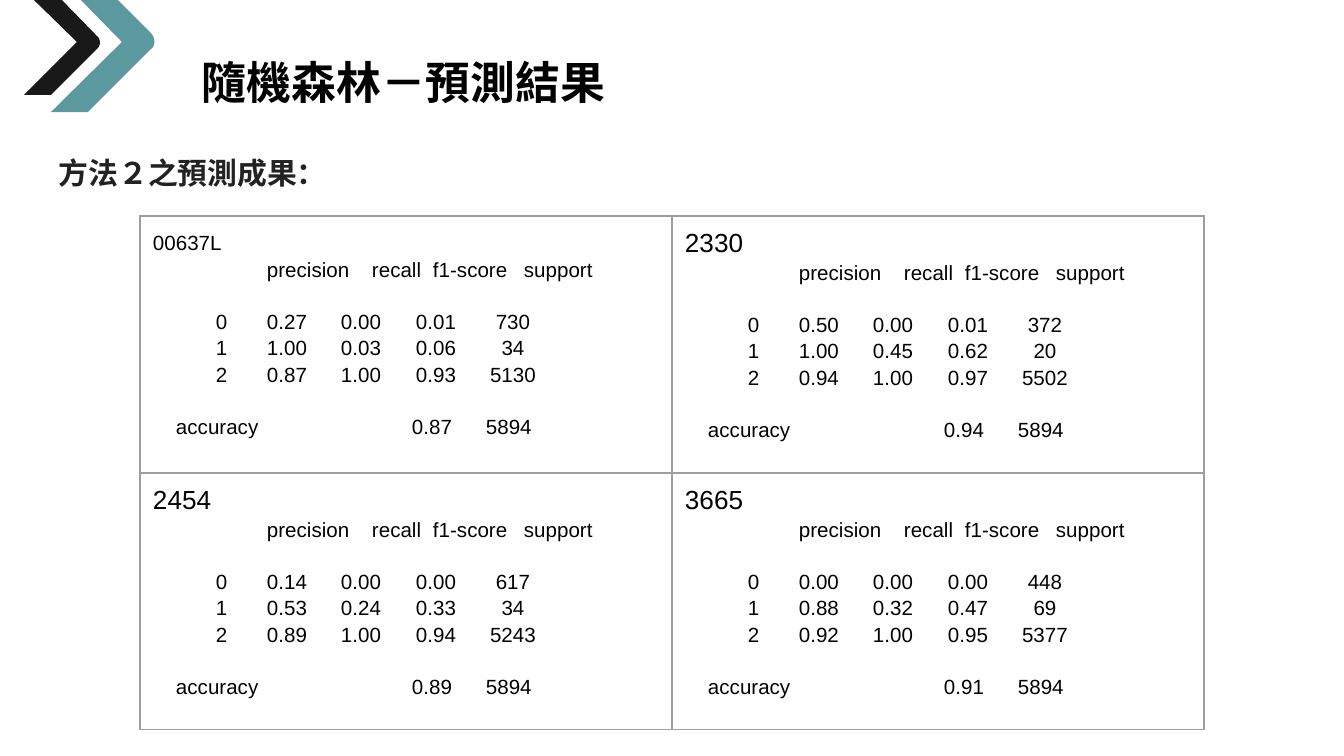
from dataclasses import dataclass

from lxml import etree
from pptx import Presentation
from pptx.dml.color import RGBColor
from pptx.enum.text import MSO_AUTO_SIZE
from pptx.oxml.ns import qn
from pptx.util import Pt

SCALE = 914400 / 134.4
PAGE_WIDTH, PAGE_HEIGHT = 1344, 756
GROW = MSO_AUTO_SIZE.SHAPE_TO_FIT_TEXT
FIXED = MSO_AUTO_SIZE.NONE
BORDER_SIDES = ("a:lnL", "a:lnR", "a:lnT", "a:lnB")


@dataclass(frozen=True)
class Theme:
    black: str = "000000"
    ink: str = "222222"
    teal: str = "4B8E95"
    border: str = "9E9E9E"
    heading_font: str = "Quicksand"
    table_font: str = "Arial"
    title_size: int = 24
    subtitle_size: int = 16
    stock_size: int = 14
    report_size: int = 11
    border_width: float = 0.75
    spacing: float = 1.15
    opacity: int = 90


HEADER_TABS = [(114, "l"), (219, "l"), (280, "l"), (371, "l")]
CLASS_TABS = [(63, "l"), (114, "l"), (188, "l"), (263, "l"), (360, "ctr")]
ACCURACY_TABS = [(23, "l"), (259, "l"), (333, "l")]
HEADER = ["precision", "recall", "f1-score", "support"]

REPORTS = [
    [
        ("00637L", Theme.report_size, Theme.spacing, [
            ["0", "0.27", "0.00", "0.01", "730"],
            ["1", "1.00", "0.03", "0.06", "34"],
            ["2", "0.87", "1.00", "0.93", "5130"],
        ], "0.87"),
        ("2330", Theme.stock_size, 1.0, [
            ["0", "0.50", "0.00", "0.01", "372"],
            ["1", "1.00", "0.45", "0.62", "20"],
            ["2", "0.94", "1.00", "0.97", "5502"],
        ], "0.94"),
    ],
    [
        ("2454", Theme.stock_size, 1.0, [
            ["0", "0.14", "0.00", "0.00", "617"],
            ["1", "0.53", "0.24", "0.33", "34"],
            ["2", "0.89", "1.00", "0.94", "5243"],
        ], "0.89"),
        ("3665", Theme.stock_size, 1.0, [
            ["0", "0.00", "0.00", "0.00", "448"],
            ["1", "0.88", "0.32", "0.47", "69"],
            ["2", "0.92", "1.00", "0.95", "5377"],
        ], "0.91"),
    ],
]


def px(length):
    return round(length * SCALE)


def bezier(start, first, second, end, steps=12):
    points = []
    for step in range(steps + 1):
        t = step / steps
        weights = ((1 - t) ** 3, 3 * t * (1 - t) ** 2, 3 * t * t * (1 - t), t ** 3)
        controls = (start, first, second, end)
        points.append(tuple(
            sum(weight * point[axis] for weight, point in zip(weights, controls))
            for axis in (0, 1)
        ))
    return points


class SlideBuilder:
    def __init__(self, page, theme):
        self.page = page
        self.theme = theme

    def span(self, para, text, size, font, color, bold=False):
        span = para.add_run()
        span.text = text
        span.font.size = Pt(size)
        span.font.name = font
        span.font.bold = bold
        span.font.color.rgb = RGBColor.from_string(color)
        latin = span.font._element.find(qn("a:latin"))
        east_asian = etree.Element(qn("a:ea"), typeface=font)
        latin.addnext(east_asian)

    def text(self, bounds, text, size, color, insets, spacing, auto_size):
        box = self.page.shapes.add_textbox(*map(px, bounds))
        frame = box.text_frame
        frame.word_wrap = True
        frame.auto_size = auto_size
        frame.margin_left = frame.margin_right = px(insets[0])
        frame.margin_top = frame.margin_bottom = px(insets[1])
        para = frame.paragraphs[0]
        para.line_spacing = spacing
        self.span(para, text, size, self.theme.heading_font, color, bold=True)

    def chevron(self, points, color):
        builder = self.page.shapes.build_freeform(*map(px, points[0]), scale=1.0)
        builder.add_line_segments([(px(x), px(y)) for x, y in points[1:]], close=True)
        shape = builder.convert_to_shape()
        shape.shadow.inherit = False
        shape.fill.solid()
        shape.fill.fore_color.rgb = RGBColor.from_string(color)
        shape.line.fill.background()
        fill_color = shape._element.spPr.find(qn("a:solidFill"))[0]
        etree.SubElement(fill_color, qn("a:alpha"), val=str(self.theme.opacity * 1000))

    def report_line(self, frame, values, tabs, gap=0):
        para = frame.add_paragraph()
        para.line_spacing = self.theme.spacing
        para.space_before = Pt(gap)
        tab_list = etree.SubElement(para._p.get_or_add_pPr(), qn("a:tabLst"))
        for position, align in tabs:
            etree.SubElement(tab_list, qn("a:tab"), pos=str(px(position)), algn=align)
        text = "".join("\t" + value for value in values)
        self.span(para, text, self.theme.report_size, self.theme.table_font, self.theme.black)

    def cell(self, cell, report):
        stock, size, spacing, classes, accuracy = report
        cell.margin_left = cell.margin_right = px(13)
        cell.margin_top = cell.margin_bottom = px(13)
        properties = cell._tc.get_or_add_tcPr()
        for side in BORDER_SIDES:
            line = etree.SubElement(properties, qn(side), w=str(Pt(self.theme.border_width)))
            fill = etree.SubElement(line, qn("a:solidFill"))
            etree.SubElement(fill, qn("a:srgbClr"), val=self.theme.border)
        cell.fill.background()
        frame = cell.text_frame
        title = frame.paragraphs[0]
        title.line_spacing = spacing
        self.span(title, stock, size, self.theme.table_font, self.theme.black)
        self.report_line(frame, HEADER, HEADER_TABS)
        for index, values in enumerate(classes):
            self.report_line(frame, values, CLASS_TABS, gap=0 if index else 14)
        self.report_line(frame, ["accuracy", accuracy, "5894"], ACCURACY_TABS, gap=14)

    def table(self, left, top, column_width, row_height, reports):
        rows, columns = len(reports), len(reports[0])
        frame = self.page.shapes.add_table(
            rows, columns, px(left), px(top),
            px(column_width * columns), px(row_height * rows),
        )
        table = frame.table
        table.first_row = False
        table.horz_banding = False
        for row, row_reports in enumerate(reports):
            for column, report in enumerate(row_reports):
                self.cell(table.cell(row, column), report)


def main():
    deck = Presentation()
    deck.slide_width, deck.slide_height = px(PAGE_WIDTH), px(PAGE_HEIGHT)
    theme = Theme()
    slide = SlideBuilder(deck.slides.add_slide(deck.slide_layouts[6]), theme)

    slide.text((192, 50, 430, 65), "隨機森林－預測結果", theme.title_size,
               theme.black, (10, 5), 1.0, GROW)
    teal_tip = bezier((150, 50), (156, 46), (156, 38), (150, 32))
    slide.chevron([(51, 112), (88, 112), *teal_tip, (118, 0), (81, 0), (122, 42)], theme.teal)
    black_tip = bezier((97, 49), (101, 46), (101, 39), (97, 36))
    slide.chevron([(24, 95), (51, 95), *black_tip, (62, 0), (34, 0), (77, 42)], theme.black)
    slide.text((46, 136, 1253, 586), "方法２之預測成果：", theme.subtitle_size,
               theme.ink, (13, 13), theme.spacing, FIXED)
    slide.table(140, 216, 532, 257, REPORTS)
    deck.save("out.pptx")


if __name__ == "__main__":
    main()
